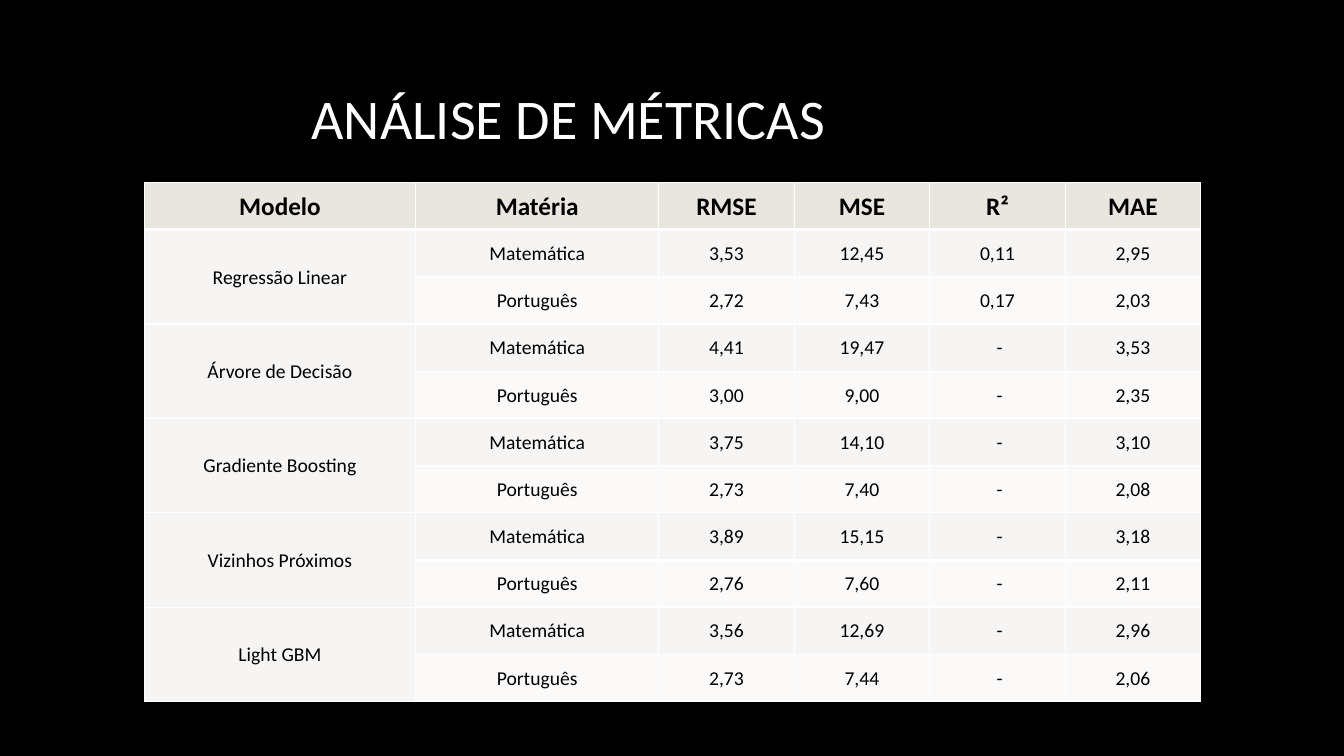
from lxml.etree import fromstring
from pptx import Presentation
from pptx.dml.color import RGBColor
from pptx.enum.text import MSO_ANCHOR, PP_ALIGN
from pptx.util import Inches, Pt

COLORS = {
    "background": "000000",
    "title": "FFFFFF",
    "border": "FFFFFF",
    "text": "000000",
    "header": "E9E6DF",
    "odd": "F7F5F3",
    "even": "FBFAF9",
}
FONT = "Calibri"
DRAWING = "http://schemas.openxmlformats.org/drawingml/2006/main"
HEADINGS = ["Modelo", "Matéria", "RMSE", "MSE", "R²", "MAE"]
SUBJECTS = ["Matemática", "Português"]
METRICS = {
    "Regressão Linear": [["3,53", "12,45", "0,11", "2,95"], ["2,72", "7,43", "0,17", "2,03"]],
    "Árvore de Decisão": [["4,41", "19,47", " -", "3,53"], ["3,00", "9,00", " -", "2,35"]],
    "Gradiente Boosting": [["3,75", "14,10", " -", "3,10"], ["2,73", "7,40", " -", "2,08"]],
    "Vizinhos Próximos": [["3,89", "15,15", " -", "3,18"], ["2,76", "7,60", " -", "2,11"]],
    "Light GBM": [["3,56", "12,69", " -", "2,96"], ["2,73", "7,44", " -", "2,06"]],
}


def color(name):
    """Return the named colour."""
    return RGBColor.from_string(COLORS[name])


def style_font(font, size, color_name, bold=False):
    """Set family, size, colour and weight of a font."""
    font.name, font.size, font.bold = FONT, Pt(size), bold
    font.color.rgb = color(color_name)


def add_borders(cell, bottom):
    """Draw the four borders of a cell, with the bottom width in points."""
    properties = cell._tc.get_or_add_tcPr()
    widths = {"lnL": 1, "lnR": 1, "lnT": 1, "lnB": bottom}
    for position, (side, width) in enumerate(widths.items()):
        properties.insert(position, fromstring(
            f'<a:{side} xmlns:a="{DRAWING}" w="{Pt(width)}"><a:solidFill>'
            f'<a:srgbClr val="{COLORS["border"]}"/></a:solidFill></a:{side}>'))


def fill_cell(cell, text, fill, header):
    """Write and format one table cell."""
    cell.text = text
    cell.vertical_anchor = MSO_ANCHOR.MIDDLE
    cell.margin_left = cell.margin_top = cell.margin_right = Inches(0.01)
    cell.margin_bottom = 0
    cell.fill.solid()
    cell.fill.fore_color.rgb = color(fill)
    para = cell.text_frame.paragraphs[0]
    para.alignment = PP_ALIGN.CENTER
    style_font(para.font, 18 if header else 14, "text", header)
    add_borders(cell, 3 if header else 1)


def add_title(page, box):
    """Place the slide title in the title placeholder."""
    title = page.shapes.title
    title.left, title.top, title.width, title.height = box
    title.text_frame.text = "ANÁLISE DE MÉTRICAS"
    title.text_frame.vertical_anchor = MSO_ANCHOR.MIDDLE
    para = title.text_frame.paragraphs[0]
    para.alignment = PP_ALIGN.LEFT
    para.line_spacing = 0.9
    style_font(para.font, 40, "title")


def add_metrics(page, box):
    """Place the metrics table, with each model spanning its subjects."""
    rows = [HEADINGS]
    for model, results in METRICS.items():
        for index, (subject, values) in enumerate(zip(SUBJECTS, results)):
            rows.append(["" if index else model, subject, *values])
    width, height = box[2:]
    table = page.shapes.add_table(len(rows), len(HEADINGS), *box).table
    shares = [0.257, 0.23]
    metric_count = len(HEADINGS) - len(shares)
    shares += [(1 - sum(shares)) / metric_count] * metric_count
    for column, share in zip(table.columns, shares):
        column.width = int(width * share)
    for row in table.rows:
        row.height = int(height / len(rows))
    for row_index, values in enumerate(rows):
        fill = "odd" if row_index % 2 else "even"
        for column_index, text in enumerate(values):
            fill_cell(table.cell(row_index, column_index), text,
                      fill if row_index else "header", row_index == 0)
    for first in range(1, len(rows), len(SUBJECTS)):
        table.cell(first, 0).merge(table.cell(first + len(SUBJECTS) - 1, 0))


def main():
    """Build and save the deck."""
    deck = Presentation()
    deck.slide_width, deck.slide_height = Inches(13.33), Inches(7.5)
    page = deck.slides.add_slide(deck.slide_layouts[5])
    page.background.fill.solid()
    page.background.fill.fore_color.rgb = color("background")
    add_metrics(page, [Inches(n) for n in (1.43, 1.81, 10.48, 5.15)])
    add_title(page, [Inches(n) for n in (2.99, 0.72, 8.35, 0.96)])
    deck.save("out.pptx")


if __name__ == "__main__":
    main()
